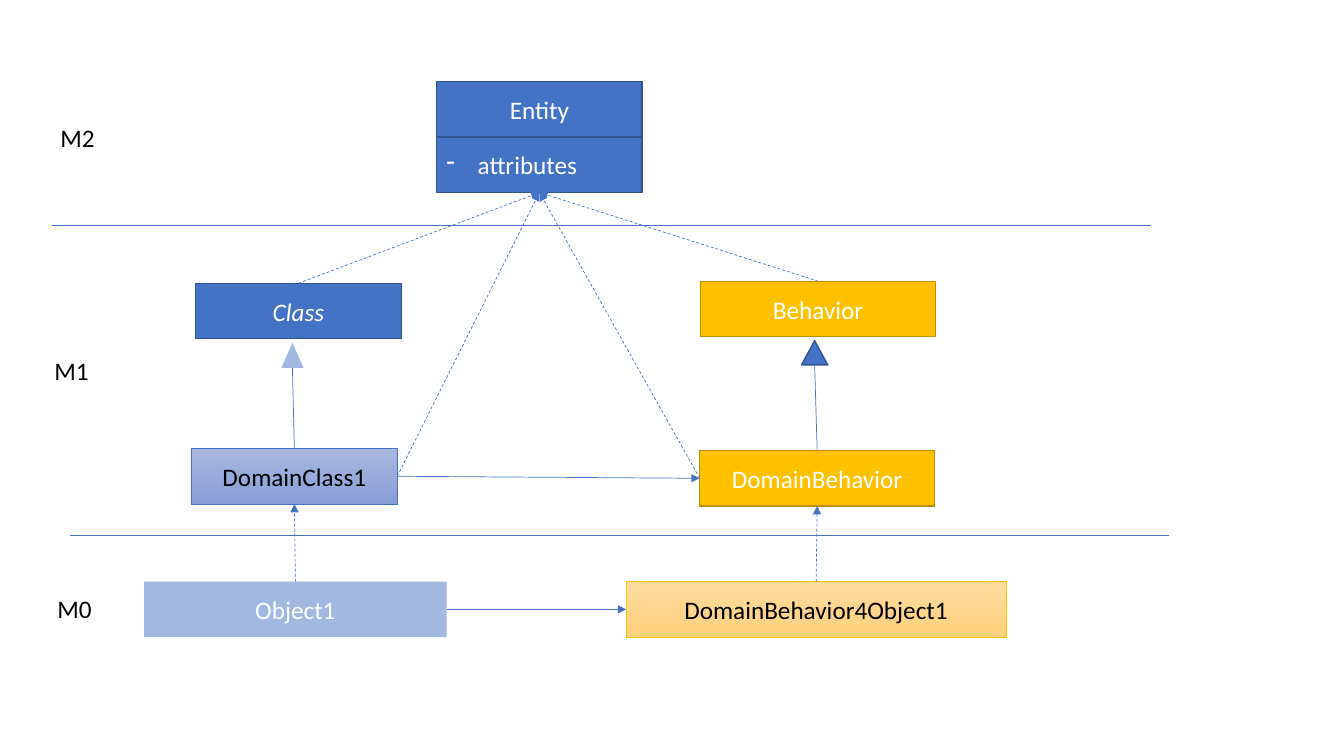
import pptx
import pptx.dml.color
import pptx.enum.dml
import pptx.enum.shapes
import pptx.enum.text
import pptx.oxml
import pptx.oxml.ns
import pptx.util
from lxml import etree

Inches = pptx.util.Inches
Pt = pptx.util.Pt
SHAPE = pptx.enum.shapes.MSO_SHAPE
ALIGN = pptx.enum.text.PP_ALIGN
TOP, LEFT, BOTTOM, RIGHT = range(4)

BLUE, DARK_BLUE = "4472C4", "325491"
GOLD, DARK_GOLD = "FFC000", "BD8E00"
WHITE, BLACK = "FFFFFF", "000000"


def rgb(code):
    """Turn a hex string into a colour."""
    return pptx.dml.color.RGBColor.from_string(code)


def add_xml(parent, tag, **attributes):
    """Append a DrawingML element to parent."""
    element = etree.SubElement(parent, pptx.oxml.ns.qn(tag))
    for key, value in attributes.items():
        element.set(key, value)
    return element


def write(frame, text, color=BLACK, align=ALIGN.LEFT, italic=False, bullet=None):
    """Write one formatted paragraph into a text frame."""
    frame.word_wrap = True
    paragraph = frame.paragraphs[0]
    paragraph.alignment = align
    run = paragraph.add_run()
    run.text = text
    run.font.name = "Calibri"
    run.font.size = Pt(18)
    run.font.italic = italic
    run.font.color.rgb = rgb(color)
    if bullet:
        properties = paragraph._p.get_or_add_pPr()
        properties.set("marL", str(Inches(0.31)))
        properties.set("indent", str(-Inches(0.31)))
        add_xml(properties, "a:buFontTx")
        add_xml(properties, "a:buChar", char=bullet)


class Diagram:
    """Draws the model levels on one slide."""

    box_height = 0.55

    def __init__(self, slide):
        self.shapes = slide.shapes

    def shape(self, kind, x, y, width, height, fill, line=None, weight=1, alpha=None):
        """Add a preset shape; a pair of fill colours gives a vertical gradient."""
        shape = self.shapes.add_shape(
            kind, Inches(x), Inches(y), Inches(width), Inches(height))
        shape.shadow.inherit = False
        if isinstance(fill, tuple):
            shape.fill.gradient()
            shape.fill.gradient_angle = 270
            for stop, color in zip(shape.fill.gradient_stops, fill):
                stop.color.rgb = rgb(color)
        else:
            shape.fill.solid()
            shape.fill.fore_color.rgb = rgb(fill)
        if alpha:
            color = shape._element.spPr.find(".//" + pptx.oxml.ns.qn("a:srgbClr"))
            add_xml(color, "a:alpha", val=str(alpha * 1000))
        if line:
            shape.line.color.rgb = rgb(line)
            shape.line.width = Pt(weight)
        else:
            shape.line.fill.background()
        return shape

    def box(self, text, x, y, width, fill, line=None, weight=1, alpha=None,
            color=WHITE, align=ALIGN.CENTER, **text_format):
        """Add a labelled rectangle."""
        box = self.shape(SHAPE.RECTANGLE, x, y, width, self.box_height,
                         fill, line, weight, alpha)
        box.text_frame.vertical_anchor = pptx.enum.text.MSO_ANCHOR.MIDDLE
        write(box.text_frame, text, color=color, align=align, **text_format)
        return box

    def label(self, text, x, y):
        """Add a level label."""
        label = self.shapes.add_textbox(
            Inches(x), Inches(y), Inches(0.87), Inches(0.4))
        write(label.text_frame, text)

    def line(self, start, end, dashed=False, arrow=False):
        """Add a line between two (x, y) points in inches."""
        line = self.shapes.add_connector(
            pptx.enum.shapes.MSO_CONNECTOR.STRAIGHT,
            *(Inches(value) for value in start + end))
        line.line.color.rgb = rgb(BLUE)
        line.line.width = Pt(0.5)
        if dashed:
            line.line.dash_style = pptx.enum.dml.MSO_LINE.DASH
        if arrow:
            add_xml(line.line._get_or_add_ln(), "a:tailEnd", type="triangle")
        add_xml(line._element.spPr, "a:effectLst")
        return line

    def link(self, source, source_side, target, target_side, dashed=False):
        """Add an arrow glued to the sides of two boxes."""
        arrow = self.line((0, 0), (0, 0), dashed, arrow=True)
        arrow.begin_connect(source, source_side)
        arrow.end_connect(target, target_side)

    def inherit(self, child, x, y, width, height, **style):
        """Add a triangle head with a line up from the child box."""
        self.shape(SHAPE.ISOSCELES_TRIANGLE, x, y, width, height, BLUE, **style)
        stem = self.line((0, 0), (x + width / 2, y + height))
        stem.begin_connect(child, TOP)


prs = pptx.Presentation()
prs.slide_width, prs.slide_height = Inches(13.33), Inches(7.5)
diagram = Diagram(prs.slides.add_slide(prs.slide_layouts[6]))

for level, x, y in (("M2", 0.5, 1.16), ("M1", 0.44, 3.48), ("M0", 0.47, 5.84)):
    diagram.label(level, x, y)
for x, y in ((0.52, 2.24), (0.69, 5.31)):
    diagram.line((x, y), (x + 10.9, y))

solid_blue = dict(fill=BLUE, line=DARK_BLUE)
solid_gold = dict(fill=GOLD, line=DARK_GOLD)

diagram.box("Entity", 4.33, 0.81, 2.04, **solid_blue)
attributes = diagram.box("attributes", 4.33, 0.81 + diagram.box_height, 2.04,
                         align=ALIGN.LEFT, bullet="-", **solid_blue)
base_class = diagram.box("Class", 1.94, 2.81, 2.04, italic=True, **solid_blue)
behavior = diagram.box("Behavior", 6.95, 2.79, 2.33, **solid_gold)
domain_class = diagram.box("DomainClass1", 1.9, 4.45, 2.04, ("A8B7DF", "889ED7"),
                           BLUE, weight=0.5, color=BLACK)
domain_behavior = diagram.box("DomainBehavior", 6.94, 4.47, 2.33, **solid_gold)
object1 = diagram.box("Object1", 1.43, 5.77, 3, BLUE, alpha=50)
object_behavior = diagram.box("DomainBehavior4Object1", 6.21, 5.77, 3.77,
                              ("FFDB9E", "FFD07C"), GOLD, weight=0.5, color=BLACK)

diagram.inherit(domain_class, 2.79, 3.4, 0.22, 0.25, alpha=50)
diagram.inherit(domain_behavior, 7.95, 3.38, 0.26, 0.24, line=DARK_BLUE)

for source, side in ((base_class, TOP), (behavior, TOP),
                     (domain_class, RIGHT), (domain_behavior, LEFT)):
    diagram.link(source, side, attributes, BOTTOM, dashed=True)
for instance, model in ((object1, domain_class), (object_behavior, domain_behavior)):
    diagram.link(instance, TOP, model, BOTTOM, dashed=True)
for owner, action in ((domain_class, domain_behavior), (object1, object_behavior)):
    diagram.link(owner, RIGHT, action, LEFT)

prs.save("out.pptx")
